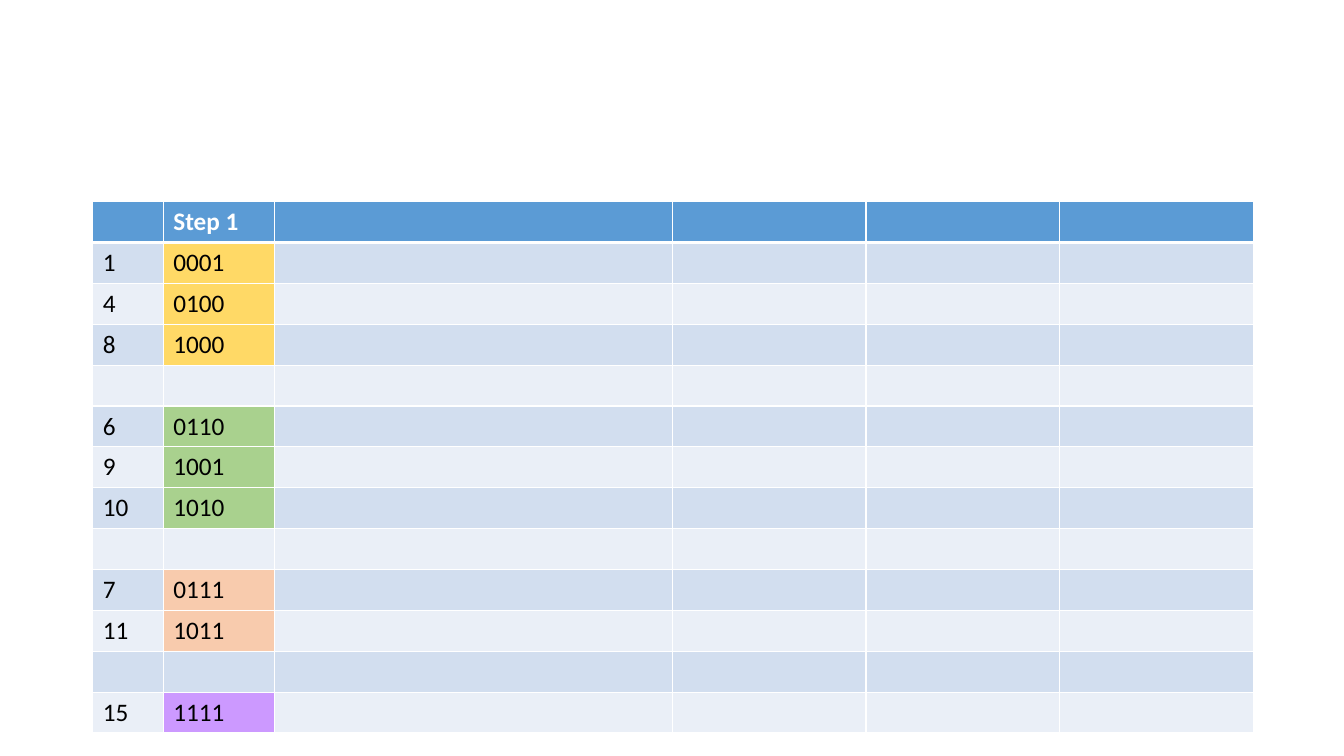
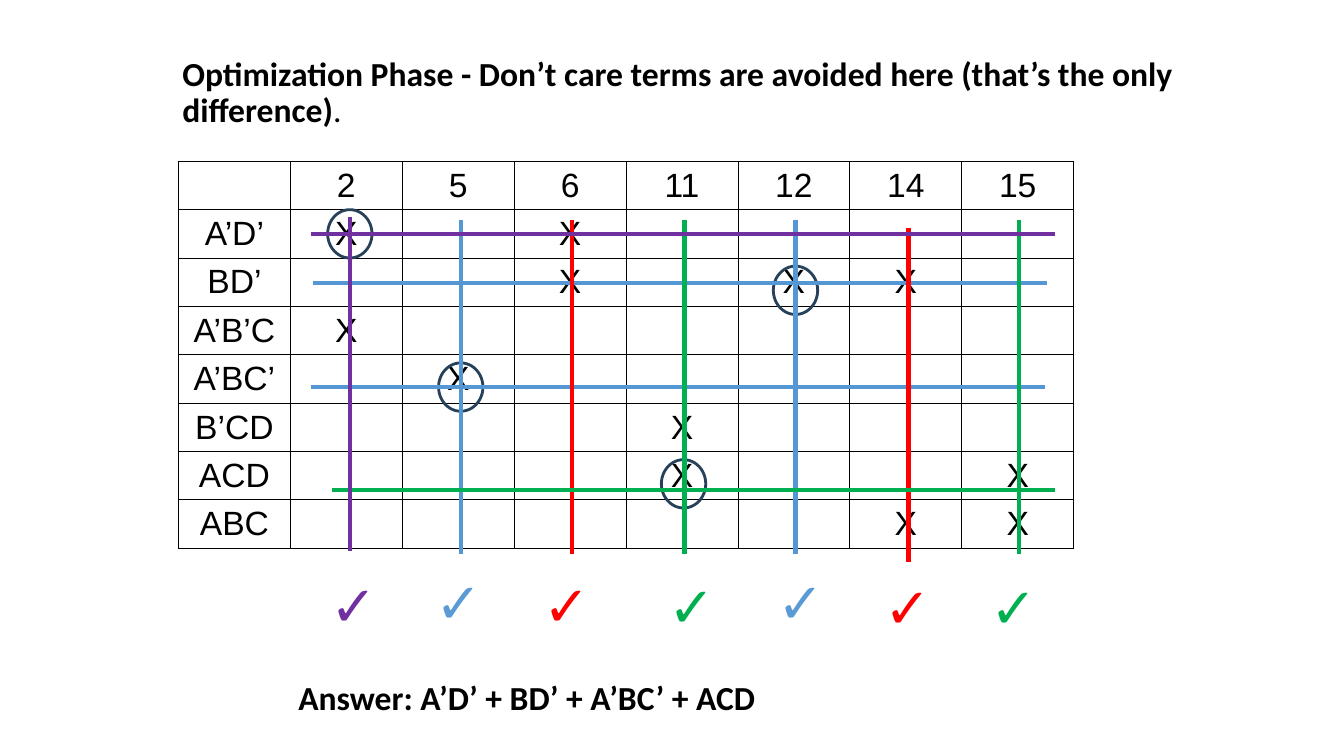
from dataclasses import dataclass

from lxml import etree
from pptx import Presentation
from pptx.dml.color import RGBColor
from pptx.enum.shapes import MSO_CONNECTOR, MSO_SHAPE
from pptx.enum.text import MSO_ANCHOR, PP_ALIGN
from pptx.oxml.ns import qn
from pptx.util import Inches, Pt

LINE = MSO_CONNECTOR.STRAIGHT
OVAL = MSO_SHAPE.OVAL
TOP = MSO_ANCHOR.TOP
MIDDLE = MSO_ANCHOR.MIDDLE
LEFT = PP_ALIGN.LEFT
CENTER = PP_ALIGN.CENTER


@dataclass(frozen=True)
class Theme:
    sans: str = "Calibri"
    grid: str = "Arial"
    small: int = 18
    large: int = 24
    tick: int = 40
    black: str = "000000"
    white: str = "FFFFFF"
    head: str = "5B9BD5"
    bands: tuple = ("D2DEEF", "EAEFF7")
    gold: str = "FFD966"
    leaf: str = "A9D18E"
    peach: str = "F8CBAD"
    lilac: str = "CC99FF"
    ring: str = "264159"
    blue: str = "5597D3"
    red: str = "FF0000"
    green: str = "00B050"
    purple: str = "7030A0"


THEME = Theme()

GROUPS = [
    (THEME.gold, [1, 4, 8]),
    (THEME.leaf, [6, 9, 10]),
    (THEME.peach, [7, 11]),
    (THEME.lilac, [15]),
]

TERMS = [2, 5, 6, 11, 12, 14, 15]
CHART = {
    "A’D’": [2, 6],
    "BD’": [6, 12, 14],
    "A’B’C": [2],
    "A’BC’": [5],
    "B’CD": [11],
    "ACD": [11, 15],
    "ABC": [14, 15],
}


@dataclass(frozen=True)
class Cover:
    color: str
    tick: str
    rings: tuple
    downs: tuple
    rows: tuple
    ticks: tuple


COVERS = [
    Cover(THEME.blue, THEME.head, ((4.35, 3.6), (7.67, 2.64)),
          ((4.57, 2.18), (7.89, 2.18)),
          ((3.08, 10.36, 3.84), (3.1, 10.38, 2.81)),
          ((4.22, 5.58), (7.61, 5.58))),
    Cover(THEME.red, THEME.red, (), ((5.67, 2.18), (9.01, 2.26)), (),
          ((5.29, 5.61), (8.67, 5.63))),
    Cover(THEME.green, THEME.green, ((6.56, 4.56),),
          ((6.79, 2.18), (10.11, 2.18)), ((3.29, 10.46, 4.86),),
          ((6.53, 5.62), (9.73, 5.63))),
    Cover(THEME.purple, THEME.purple, ((3.25, 2.08),), ((3.47, 2.15),),
          ((3.08, 10.46, 2.32),), ((3.18, 5.61),)),
]
DROP = 3.32


def rgb(code):
    return RGBColor.from_string(code)


def add_run(para, text, font, size, color, bold=False):
    run = para.add_run()
    run.text = text
    run.font.name = font
    run.font.size = Pt(size)
    run.font.bold = bold
    run.font.color.rgb = rgb(color)


def add_text(slide, box, runs, font, size, color, anchor=TOP, space=1.0):
    frame = slide.shapes.add_textbox(*map(Inches, box)).text_frame
    frame.word_wrap = True
    frame.vertical_anchor = anchor
    para = frame.paragraphs[0]
    para.line_spacing = space
    for text, bold in runs:
        add_run(para, text, font, size, color, bold)


def add_title(slide, left, top, runs):
    add_text(slide, (left, top, 11.62, 1.85), runs, THEME.sans, THEME.large,
             THEME.black, MIDDLE, 0.9)


def add_line(slide, start, end, color):
    ends = map(Inches, (*start, *end))
    line = slide.shapes.add_connector(LINE, *ends)
    line.line.color.rgb = rgb(color)
    line.line.width = Pt(3)
    etree.SubElement(line._element.spPr, qn("a:effectLst"))


def add_ring(slide, left, top):
    ring = slide.shapes.add_shape(OVAL, *map(Inches, (left, top, 0.44, 0.48)))
    ring.shadow.inherit = False
    ring.fill.background()
    ring.line.color.rgb = rgb(THEME.ring)
    ring.line.width = Pt(2)


def add_grid(slide, left, top, widths, height, count):
    size = (left, top, sum(widths), height * count)
    table = slide.shapes.add_table(count, len(widths),
                                   *map(Inches, size)).table
    table.first_row = False
    table.horz_banding = False
    for col, width in zip(table.columns, widths):
        col.width = Inches(width)
    for row in table.rows:
        row.height = Inches(height)
    return table


def set_edges(cell, color, left, right, top, bottom):
    props = cell._tc.get_or_add_tcPr()
    for side, width in zip("LRTB", (left, right, top, bottom)):
        edge = etree.SubElement(props, qn(f"a:ln{side}"), w=str(Pt(width)))
        fill = etree.SubElement(edge, qn("a:solidFill"))
        etree.SubElement(fill, qn("a:srgbClr"), val=color)


def set_fill(cell, color=None):
    if color:
        cell.fill.solid()
        cell.fill.fore_color.rgb = rgb(color)
    else:
        cell.fill.background()


def set_text(cell, text, font, size, color, bold=False, align=LEFT, anchor=TOP):
    cell.vertical_anchor = anchor
    para = cell.text_frame.paragraphs[0]
    para.alignment = align
    if text:
        add_run(para, text, font, size, color, bold)


def step_rows():
    rows = [("", "Step 1", None)]
    for index, (color, terms) in enumerate(GROUPS):
        if index:
            rows.append(("", "", None))
        rows += [(str(term), f"{term:04b}", color) for term in terms]
    return rows


def draw_steps(slide):
    rows = step_rows()
    widths = [0.7, 1.1, 3.95, 1.92, 1.92, 1.92]
    table = add_grid(slide, 0.92, 2, widths, 0.4, len(rows))
    for r, (term, bits, color) in enumerate(rows):
        head = r == 0
        base = THEME.head if head else THEME.bands[(r - 1) % 2]
        ink = THEME.white if head else THEME.black
        for c in range(len(widths)):
            cell = table.cell(r, c)
            set_edges(cell, THEME.white, 1, 1, 3 if r == 1 else 1,
                      3 if head else 1)
            set_fill(cell, color if c == 1 and color else base)
            text = (term, bits)[c] if c < 2 else ""
            set_text(cell, text, THEME.sans, THEME.small, ink, head)


def draw_chart(slide):
    rows = [["", *map(str, TERMS)]]
    for name, marks in CHART.items():
        rows.append([name, *("X" if t in marks else "" for t in TERMS)])
    table = add_grid(slide, 1.77, 1.6, [1.11] * len(rows[0]), 0.47, len(rows))
    for r, row in enumerate(rows):
        for c, text in enumerate(row):
            cell = table.cell(r, c)
            cell.margin_top = cell.margin_bottom = Inches(0.04)
            set_edges(cell, THEME.black, *[0.75] * 4)
            set_fill(cell)
            set_text(cell, text, THEME.grid, THEME.large, THEME.black,
                     align=CENTER, anchor=MIDDLE)


def draw_cover(slide, cover):
    for left, top in cover.rings:
        add_ring(slide, left, top)
    for x, top in cover.downs:
        add_line(slide, (x, top), (x, top + DROP), cover.color)
    for start, end, y in cover.rows:
        add_line(slide, (start, y), (end, y), cover.color)
    for left, top in cover.ticks:
        add_text(slide, (left, top, 0.69, 0.77), [("✓", False)],
                 THEME.grid, THEME.tick, cover.tick)


def main():
    deck = Presentation()
    deck.slide_width = Inches(13.33)
    deck.slide_height = Inches(7.5)
    blank = deck.slide_layouts[6]

    draw_steps(deck.slides.add_slide(blank))

    slide = deck.slides.add_slide(blank)
    add_title(slide, 1.71, 0, [
        ("Optimization Phase - Don’t care terms are avoided here "
         "(that’s the only difference)", True),
        (".", False),
    ])
    draw_chart(slide)
    for cover in COVERS:
        draw_cover(slide, cover)
    add_title(slide, 2.86, 6.02, [("Answer: A’D’ + BD’ + A’BC’ + ACD", True)])

    deck.save("out.pptx")


if __name__ == "__main__":
    main()
